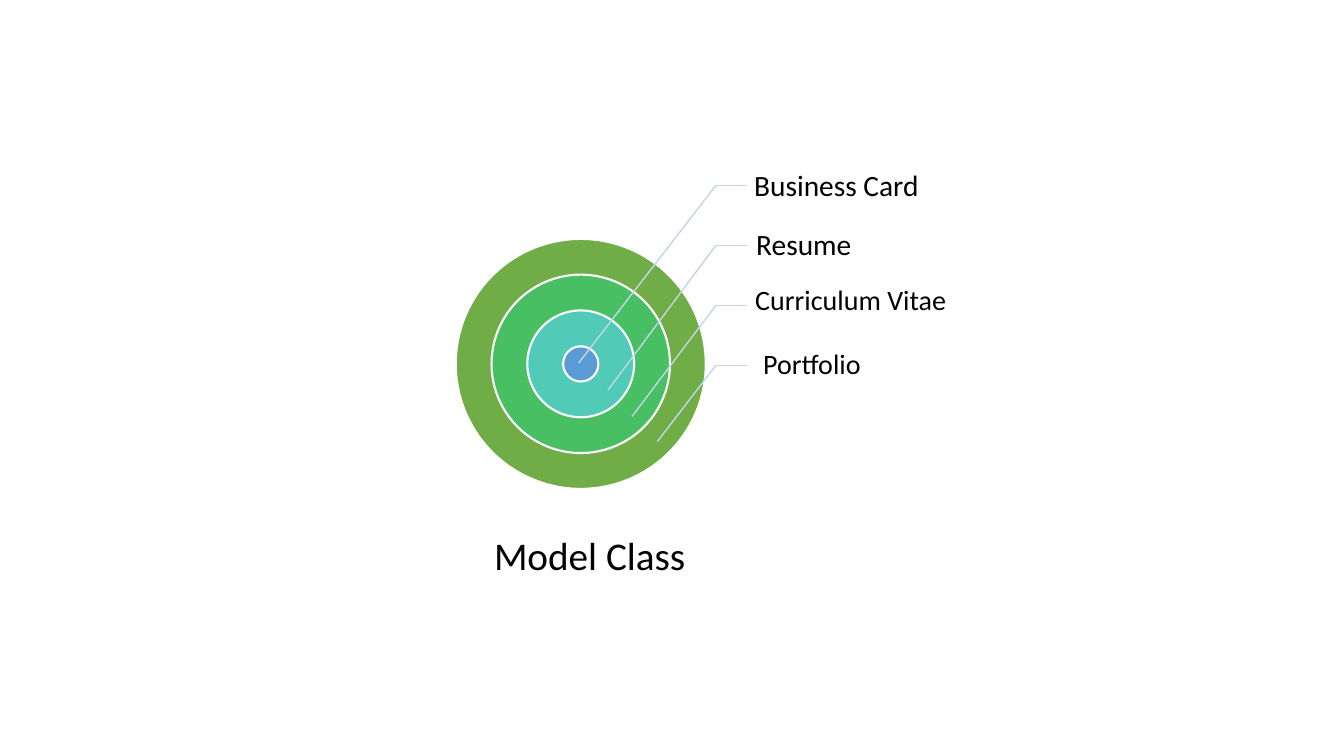
from pptx import Presentation
from pptx.dml.color import RGBColor
from pptx.enum.shapes import MSO_CONNECTOR, MSO_SHAPE
from pptx.enum.text import MSO_ANCHOR, PP_ALIGN
from pptx.oxml.ns import qn
from pptx.util import Inches, Pt
from lxml.etree import SubElement

COLORS = {
    "olive": "70AD47", "green": "49BF64", "teal": "52CAB8", "blue": "5B9BD5",
    "leader": "C4D5EB", "white": "FFFFFF", "black": "000000",
}
TITLE = "Model Class"
RINGS = ["olive", "green", "teal", "blue"]
LABELS = [
    ("Business Card", 21, (7.32, 1.56, 3.08), (5.74, 3.6)),
    ("Resume", 21, (7.34, 2.14, 1.51), (6.03, 3.87)),
    ("Curriculum Vitae", 20, (7.33, 2.69, 2.78), (6.27, 4.13)),
    ("Portfolio", 20, (7.41, 3.33, 1.24), (6.52, 4.38)),
]
CENTER = (5.76, 3.61)
OUTER, STEP = 2.48, 0.71
BEND, END = 7.1, 7.41
FIRST, PITCH = 1.84, 0.595


def color(name):
    return RGBColor.from_string(COLORS[name])


def write(shape, text, size, anchor=MSO_ANCHOR.TOP, insets=(0.1, 0.05, 0.1, 0.05),
          spacing=1.0):
    frame = shape.text_frame
    frame.word_wrap = True
    frame.vertical_anchor = anchor
    (frame.margin_left, frame.margin_top,
     frame.margin_right, frame.margin_bottom) = map(Inches, insets)
    para = frame.paragraphs[0]
    para.alignment = PP_ALIGN.LEFT
    para.line_spacing = spacing
    run = para.add_run()
    run.text = text
    run.font.name = "Calibri"
    run.font.size = Pt(size)
    run.font.color.rgb = color("black")


def ring(slide, name, size):
    left, top = (Inches(mid - size / 2) for mid in CENTER)
    shape = slide.shapes.add_shape(
        MSO_SHAPE.OVAL, left, top, Inches(size), Inches(size))
    shape.shadow.inherit = False
    shape.fill.solid()
    shape.fill.fore_color.rgb = color(name)
    shape.line.color.rgb = color("white")
    shape.line.width = Pt(1.5)


def leader(slide, start, end):
    line = slide.shapes.add_connector(
        MSO_CONNECTOR.STRAIGHT, *map(Inches, start + end))
    line.line.color.rgb = color("leader")
    line.line.width = Pt(1)
    SubElement(line._element.spPr, qn("a:effectLst"))


def main():
    deck = Presentation()
    deck.slide_width, deck.slide_height = Inches(13.33), Inches(7.5)
    slide = deck.slides.add_slide(deck.slide_layouts[5])

    for i, name in enumerate(RINGS):
        ring(slide, name, OUTER - i * STEP)

    for i, (text, size, (left, top, width), tip) in enumerate(LABELS):
        box = slide.shapes.add_textbox(*map(Inches, (left, top, width, 0.59)))
        write(box, text, size, anchor=MSO_ANCHOR.MIDDLE,
              insets=(0.16, 0.03, 0.03, 0.03), spacing=0.9)
        bend = (BEND, FIRST + i * PITCH)
        leader(slide, bend, (END, bend[1]))
        leader(slide, bend, tip)

    title = slide.shapes.title
    title.left, title.top, title.width, title.height = map(
        Inches, (4.8, 5.22, 2.33, 0.57))
    write(title, TITLE, 28)

    deck.save("out.pptx")


if __name__ == "__main__":
    main()
